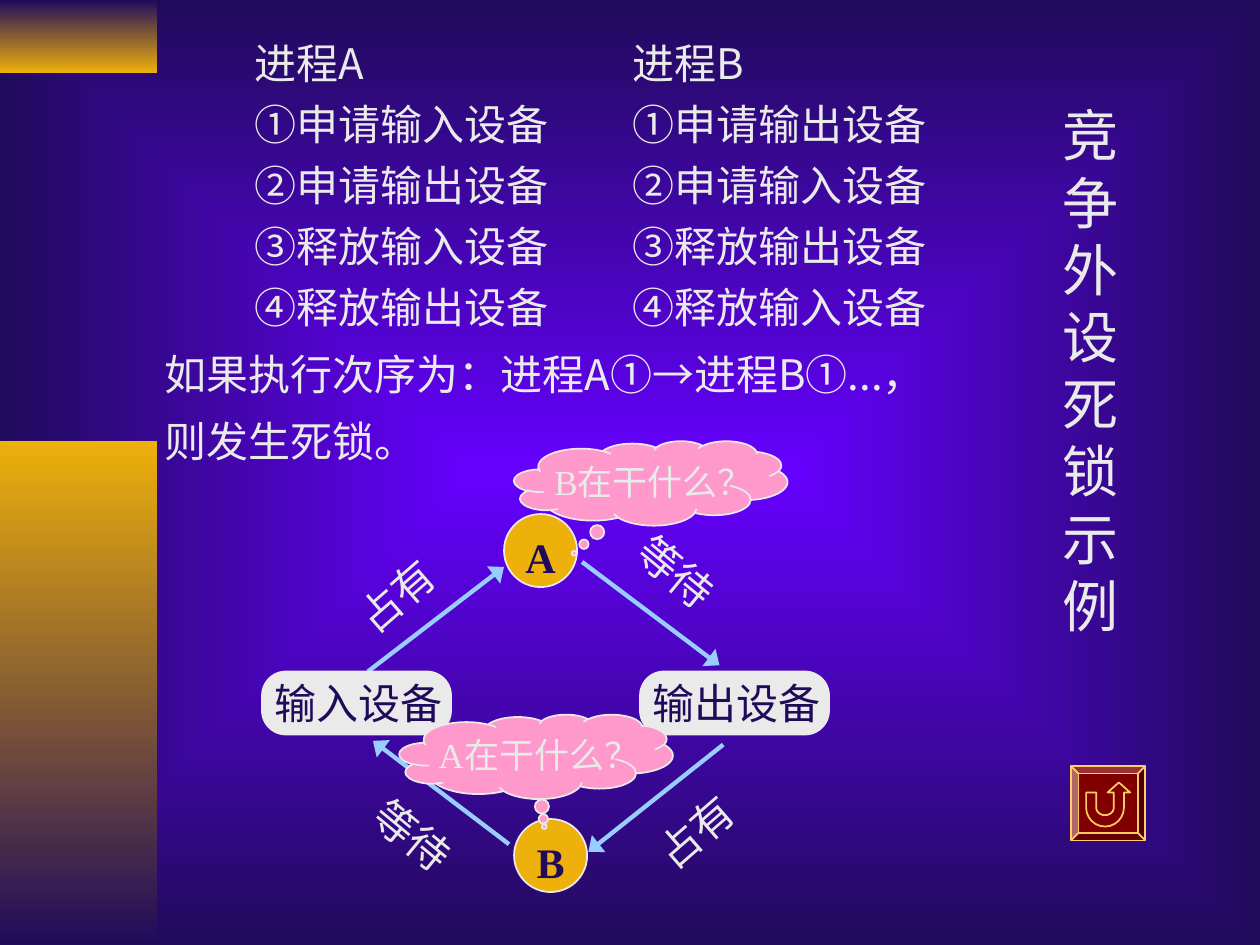
from math import cos, pi, sin

from lxml.etree import SubElement
from pptx import Presentation
from pptx.dml.color import RGBColor
from pptx.enum.shapes import MSO_CONNECTOR, MSO_SHAPE
from pptx.enum.text import MSO_ANCHOR, MSO_AUTO_SIZE, PP_ALIGN
from pptx.oxml.ns import qn
from pptx.util import Inches, Pt

C = {"violet": "6600FF", "navy": "200B5B", "gold": "EEB00B", "light": "EAEAEA",
     "sky": "99CCFF", "pink": "FF99CC", "red": "800000", "sand": "FFCC66"}
SANS, SERIF = "Noto Sans CJK SC", "Times New Roman"


def rgb(name):
    return RGBColor.from_string(C[name])


def write(sp, text, size=24, font=SERIF, color="light", bold=False, align=PP_ALIGN.LEFT,
          anchor=MSO_ANCHOR.TOP, wrap=True, before=0, after=0):
    """Fill a shape with one paragraph per line of text; before is skipped on the first."""
    tf = sp.text_frame
    tf.word_wrap, tf.auto_size, tf.vertical_anchor = wrap, MSO_AUTO_SIZE.NONE, anchor
    for i, line in enumerate(text.split("\n")):
        p = tf.paragraphs[0] if i == 0 else tf.add_paragraph()
        pPr = p._p.get_or_add_pPr()
        pPr.set("marL", "0")
        pPr.set("indent", "0")
        SubElement(pPr, qn("a:buNone"))
        p.alignment, p.line_spacing = align, 1.0
        p.space_before, p.space_after = Pt(before if i else 0), Pt(after)
        r = p.add_run()
        r.text = line
        r.font.size, r.font.name, r.font.bold = Pt(size), font, bold
        r.font.color.rgb = rgb(color)
        if font == SANS:
            SubElement(r._r.get_or_add_rPr(), qn("a:ea"), typeface=SANS)


prs = Presentation()
prs.slide_width, prs.slide_height = Inches(10), Inches(7.5)
s = prs.slides.add_slide(prs.slide_layouts[3])

# Background and gold side bars
bg = s.background.fill
bg.gradient()
for stop, name in zip(bg.gradient_stops, ("violet", "navy")):
    stop.color.rgb = rgb(name)
lin = next(s.background._cSld.iter(qn("a:lin")))
grad = lin.getparent()
grad.remove(lin)
centre = SubElement(grad, qn("a:path"), path="rect")
SubElement(centre, qn("a:fillToRect"), l="50000", t="50000", r="50000", b="50000")

for top, height, names in ((0, 0.58, ("navy", "gold")), (3.5, 4, ("gold", "navy"))):
    sp = s.shapes.add_shape(MSO_SHAPE.RECTANGLE, 0, Inches(top), Inches(1.25), Inches(height))
    sp.shadow.inherit = False
    sp.line.fill.background()
    sp.fill.gradient()
    sp.fill.gradient_angle = 270
    for stop, name in zip(sp.fill.gradient_stops, names):
        stop.color.rgb = rgb(name)

# Title, the steps of each process, and the outcome
title, steps_a, steps_b = s.placeholders
for sp, box in ((title, (8.33, 0.75, 0.75, 4.37)),
                (steps_a, (1.92, 0.25, 3, 2.5)), (steps_b, (4.92, 0.25, 3, 2.5))):
    sp.left, sp.top, sp.width, sp.height = map(Inches, box)
write(title, "竞争外设死锁示例", size=32)
for sp, name, first, second in ((steps_a, "A", "输入设备", "输出设备"),
                                (steps_b, "B", "输出设备", "输入设备")):
    write(sp, f"进程{name}\n①申请{first}\n②申请{second}\n③释放{first}\n④释放{second}",
          font=SANS, before=3, after=3)
outcome = s.shapes.add_textbox(Inches(1.21), Inches(2.72), Inches(6.9), Inches(1.02))
write(outcome, "如果执行次序为：进程A①→进程B①...，\n则发生死锁。", font=SANS, before=6, after=3)

# Deadlock cycle: processes, devices, arrows and thoughts
CLOUD, CIRCLE, BOX = MSO_SHAPE.CLOUD_CALLOUT, MSO_SHAPE.OVAL, MSO_SHAPE.ROUNDED_RECTANGLE
nodes = [(CIRCLE, "B", 4.08, 6.5), (CIRCLE, "A", 4, 4.08),
         (BOX, "输入设备", 2.08, 5.33), (BOX, "输出设备", 5.08, 5.33)]
arrows = [((2.92, 5.33), (4, 4.5)), ((5.74, 5.91), (4.67, 6.76)),
          ((4.62, 4.46), (5.71, 5.28)), ((4.04, 6.7), (2.96, 5.88))]
labels = [("占有", 2.71, 4.46, 0.92, 319), ("占有", 5.08, 6.33, 0.92, 319),
          ("等待", 4.92, 4.33, 1, 39.5), ("等待", 2.83, 6.42, 1, 39.5)]
thoughts = [(CLOUD, "A在干什么？", 3.17, 5.67), (CLOUD, "B在干什么？", 4.08, 3.5)]
style = {CIRCLE: (0.58, 0.58, "gold", "navy", 24), BOX: (1.5, 0.5, "light", "navy", 24),
         CLOUD: (2.17, 0.67, "pink", "light", 20)}
tails = {"A在干什么？": (0.03, 0.83), "B在干什么？": (-0.28, 0.83)}

for begin, end in arrows:
    ln = s.shapes.add_connector(MSO_CONNECTOR.STRAIGHT, *map(Inches, begin + end))
    ln.line.color.rgb, ln.line.width = rgb("sky"), Pt(2.5)
    SubElement(ln.line._get_or_add_ln(), qn("a:tailEnd"), type="triangle", w="lg", len="med")
    SubElement(ln._element.spPr, qn("a:effectLst"))

for text, x, y, width, angle in labels:
    sp = s.shapes.add_textbox(Inches(x), Inches(y), Inches(width), Inches(0.5))
    sp.rotation = angle
    write(sp, text)

for kind, text, x, y in nodes + thoughts:
    width, height, fill, ink, size = style[kind]
    sp = s.shapes.add_shape(kind, *map(Inches, (x, y, width, height)))
    sp.shadow.inherit = False
    sp.fill.solid()
    sp.fill.fore_color.rgb = rgb(fill)
    sp.line.color.rgb, sp.line.width = rgb("light"), Pt(1)
    if kind == BOX:
        sp.adjustments[0] = 0.38
        sp.text_frame.margin_left = Inches(0.13)
    elif kind == CLOUD:
        sp.adjustments[0], sp.adjustments[1] = tails[text]
        sp.text_frame.margin_left = Inches(0.3)
    else:
        sp.text_frame.margin_top = Inches(0.14)
    write(sp, text, size=size, color=ink, bold=kind == CIRCLE, align=PP_ALIGN.CENTER,
          anchor=MSO_ANCHOR.MIDDLE, wrap=False)

# Return button: a bevel with a U-turn arrow
button = s.shapes.add_shape(MSO_SHAPE.BEVEL, Inches(8.5), Inches(6.08), Inches(0.59), Inches(0.59))
button.adjustments[0] = 0.1
turns = [pi * i / 12 for i in range(13)]
outer = [(8.77 + 0.15 * cos(a), 6.41 + 0.15 * sin(a)) for a in turns]
inner = [(8.77 - 0.07 * cos(a), 6.41 + 0.06 * sin(a)) for a in turns]
head = [(8.84, 6.29), (8.79, 6.29), (8.88, 6.21), (8.97, 6.29), (8.92, 6.29)]
outline = [(Inches(x), Inches(y)) for x, y in [(8.62, 6.29), (8.7, 6.29)] + inner + head + outer]
fb = s.shapes.build_freeform(*outline[0])
fb.add_line_segments(outline[1:], close=True)
for sp in (button, fb.convert_to_shape()):
    sp.shadow.inherit = False
    sp.fill.solid()
    sp.fill.fore_color.rgb = rgb("red")
    sp.line.color.rgb, sp.line.width = rgb("sand"), Pt(1)

prs.save("out.pptx")
